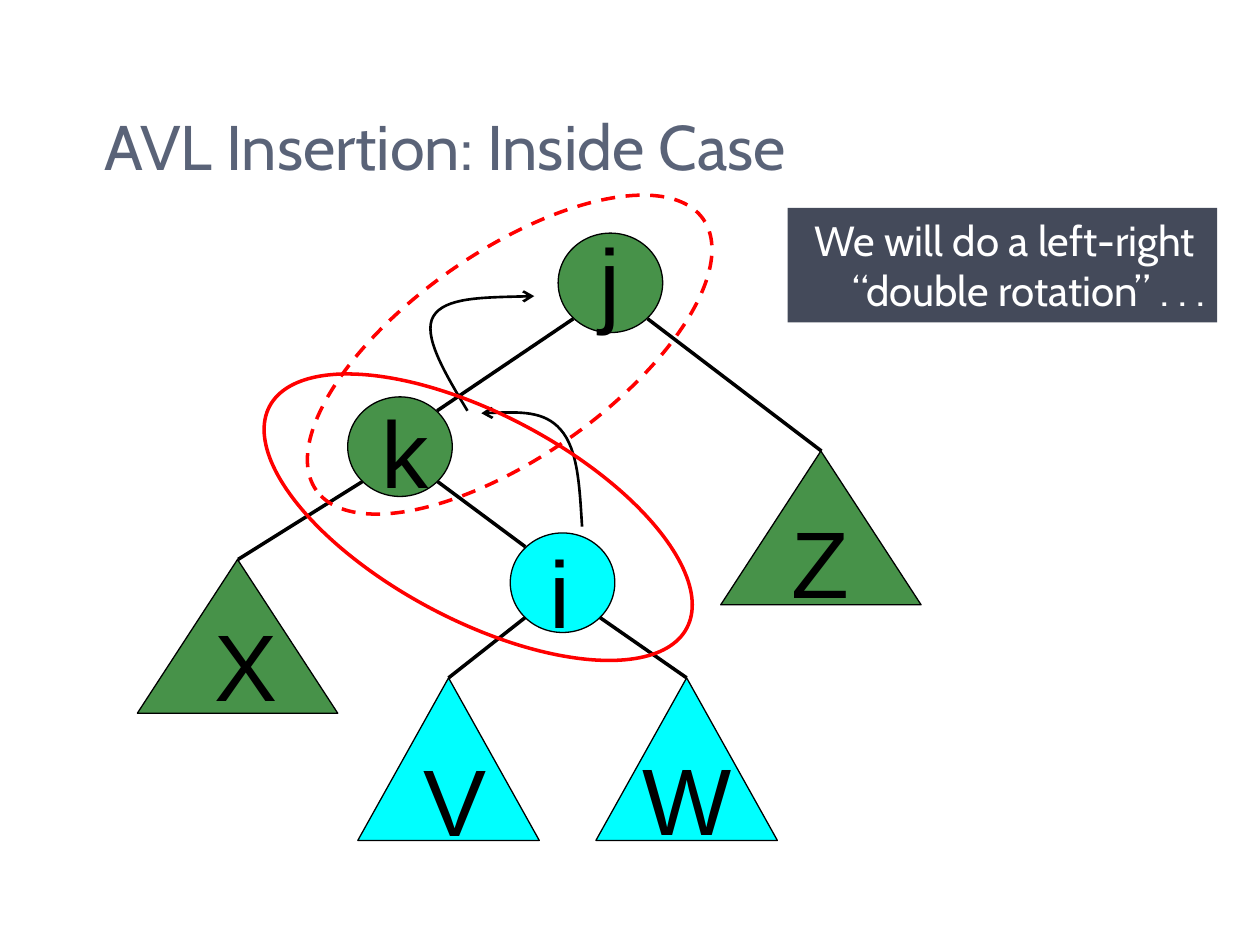
"""Build the AVL inside-case insertion slide."""
from lxml.etree import SubElement
from pptx import Presentation
from pptx.dml.color import RGBColor
from pptx.enum.dml import MSO_LINE as Dash
from pptx.enum.shapes import MSO_CONNECTOR as Link, MSO_SHAPE as Shape
from pptx.enum.text import MSO_ANCHOR as Anchor, PP_ALIGN as Align
from pptx.oxml.ns import qn
from pptx.util import Inches, Pt

COLORS = {"black": "000000", "white": "FFFFFF", "green": "479249", "cyan": "00FFFF",
          "red": "FF0000", "title": "5A6378", "note": "444A5A"}


class Deck:
    """Hold the style and the current slide."""

    def __init__(self, slide):
        self.slide = slide
        self.shapes = slide.shapes

    def color(self, name):
        return RGBColor.from_string(COLORS[name])

    def style(self, frame, size, font, color, align):
        for para in frame.paragraphs:
            para.alignment = align
            para.space_before = Pt(0)
            for run in para.runs:
                run.font.size = Pt(size)
                run.font.name = font
                run.font.color.rgb = self.color(color)

    def title(self, text, left, top, width, height):
        box = self.shapes.title
        box.left, box.top = Inches(left), Inches(top)
        box.width, box.height = Inches(width), Inches(height)
        frame = box.text_frame
        frame.text = text
        frame.vertical_anchor = Anchor.MIDDLE
        self.style(frame, 36, "Cabin", "title", Align.LEFT)

    def shape(self, kind, left, top, width, height, fill=None, line="black", weight=0.75):
        item = self.shapes.add_shape(kind, Inches(left), Inches(top), Inches(width), Inches(height))
        item.shadow.inherit = False
        if fill:
            item.fill.solid()
            item.fill.fore_color.rgb = self.color(fill)
        else:
            item.fill.background()
        if line:
            item.line.color.rgb = self.color(line)
            item.line.width = Pt(weight)
        else:
            item.line.fill.background()
        return item

    def label(self, text, left, top):
        frame = self.shapes.add_textbox(Inches(left), Inches(top), Inches(0.51), Inches(1)).text_frame
        frame.word_wrap = True
        frame.margin_top = Inches(0.12)
        frame.text = text
        self.style(frame, 54, "Arial", "black", Align.LEFT)

    def edge(self, start, end):
        line = self.shapes.add_connector(Link.STRAIGHT, *map(Inches, start + end))
        line.line.color.rgb = self.color("black")
        line.line.width = Pt(2)
        SubElement(line._element.spPr, qn("a:effectLst"))

    def note(self, text, left, top, width, height):
        frame = self.shape(Shape.RECTANGLE, left, top, width, height, "note", None).text_frame
        frame.word_wrap = True
        frame.vertical_anchor = Anchor.TOP
        frame.text = text
        self.style(frame, 24, "Cabin", "white", Align.RIGHT)

    def ring(self, left, top, angle, dash=None):
        item = self.shape(Shape.OVAL, left, top, 3.75, 1.63, line="red", weight=2)
        item.rotation = angle
        if dash:
            item.line.dash_style = dash

    def curve(self, start, *points):
        """Draw an arrow through Bezier points, three to a segment."""
        pen = self.shapes.build_freeform(*map(Inches, start), scale=1.0)
        pen.add_line_segments([tuple(map(Inches, spot)) for spot in points], close=False)
        item = pen.convert_to_shape()
        item.shadow.inherit = False
        item.fill.background()
        item.line.color.rgb = self.color("black")
        item.line.width = Pt(1.5)
        steps = list(item._element.iter(qn("a:lnTo")))
        for i in range(0, len(steps), 3):
            bend = SubElement(steps[i].getparent(), qn("a:cubicBezTo"))
            for step in steps[i:i + 3]:
                bend.append(step[0])
                step.getparent().remove(step)
        SubElement(item.line._get_or_add_ln(), qn("a:tailEnd"), type="arrow")


def main():
    show = Presentation()
    show.slide_width, show.slide_height = Inches(10), Inches(7.5)
    deck = Deck(show.slides.add_slide(show.slide_layouts[5]))
    deck.title("AVL Insertion: Inside Case", 0.73, 0.71, 8.55, 0.88)

    for start, end in [((4.55, 2.53), (3.47, 3.26)), ((5.14, 2.53), (6.52, 3.58)),
                       ((2.88, 3.82), (1.89, 4.44)), ((3.47, 3.82), (4.17, 4.34)),
                       ((4.17, 4.9), (3.56, 5.38)), ((4.76, 4.9), (5.45, 5.38))]:
        deck.edge(start, end)

    node, tall, wide = (0.83, 0.79), (1.44, 1.29), (1.59, 1.22)
    for text, kind, spot, size, fill, place in [
            ("j", Shape.OVAL, (4.43, 1.85), node, "green", (4.66, 1.64)),
            ("k", Shape.OVAL, (2.76, 3.15), node, "green", (2.93, 3.01)),
            ("i", Shape.OVAL, (4.05, 4.23), node, "cyan", (4.26, 4.12)),
            ("X", Shape.ISOSCELES_TRIANGLE, (1.09, 4.44), wide, "green", (1.6, 4.7)),
            ("Z", Shape.ISOSCELES_TRIANGLE, (5.72, 3.58), wide, "green", (6.18, 3.88)),
            ("V", Shape.ISOSCELES_TRIANGLE, (2.84, 5.38), tall, "cyan", (3.26, 5.77)),
            ("W", Shape.ISOSCELES_TRIANGLE, (4.73, 5.38), tall, "cyan", (5, 5.76))]:
        deck.shape(kind, *spot, *size, fill)
        deck.label(text, *place)

    deck.note("We will do a left-right \n“double rotation” . . .", 6.25, 1.65, 3.41, 0.91)
    deck.curve((4.62, 4.18), (4.6, 3.87), (4.59, 3.57), (4.45, 3.41),
               (4.32, 3.26), (4.07, 3.27), (3.82, 3.28))
    deck.curve((3.71, 3.26), (3.53, 2.96), (3.35, 2.66), (3.44, 2.51),
               (3.53, 2.36), (3.89, 2.36), (4.24, 2.35))
    deck.ring(1.92, 3.29, 28)
    deck.ring(2.17, 2, 325, Dash.DASH)
    show.save("out.pptx")


if __name__ == "__main__":
    main()
